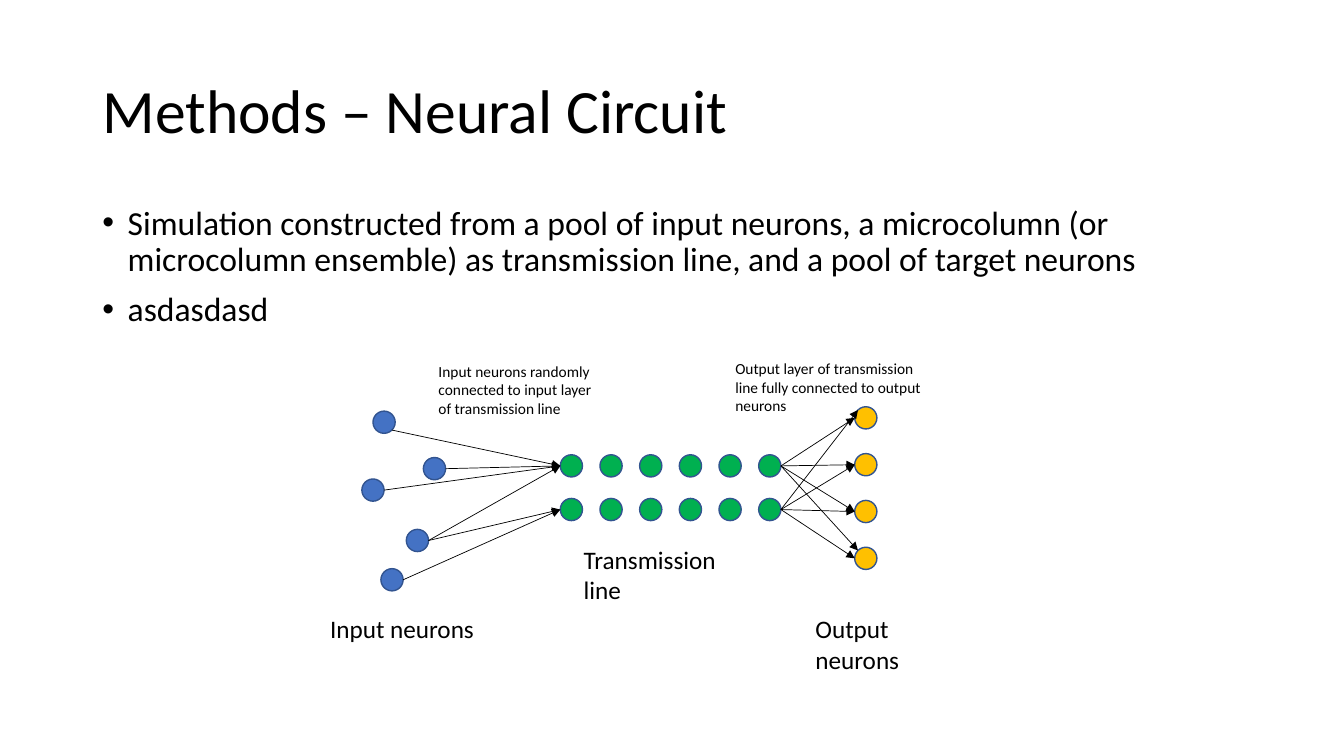
from dataclasses import dataclass
from math import cos, radians, sin

from lxml.etree import SubElement
from pptx import Presentation
from pptx.dml.color import RGBColor
from pptx.enum.shapes import MSO_CONNECTOR, MSO_SHAPE
from pptx.enum.text import MSO_ANCHOR, MSO_AUTO_SIZE, PP_ALIGN
from pptx.oxml.ns import qn
from pptx.util import Cm, Pt

HEADING = "Methods – Neural Circuit"
POINTS = [
    "Simulation constructed from a pool of input neurons, a microcolumn "
    "(or microcolumn ensemble) as transmission line, and a pool of target neurons",
    "asdasdasd",
]

# Top left corners of the input neurons, in cm
INPUTS = [(9.4, 10.36), (9.12, 12.07), (10.67, 11.53), (10.24, 13.34), (9.6, 14.33)]
MICROCOLUMN = {"left": 14.12, "top": 11.46, "columns": 6, "rows": 2, "dx": 1.0, "dy": 1.1}
OUTPUTS = {"left": 21.54, "top": 10.25, "columns": 1, "rows": 4, "dx": 0, "dy": 1.18}
DIAMETER = 0.56

# Angles of the connection points on a neuron, clockwise from the right
RIGHT, LOWER_RIGHT, LEFT, UPPER_LEFT = 0, 45, 180, 225

# (input, leaving angle, row of the transmission line)
INPUT_LINKS = [
    (2, RIGHT, 0),
    (3, RIGHT, 0),
    (3, RIGHT, 1),
    (0, LOWER_RIGHT, 0),
    (1, RIGHT, 0),
    (4, RIGHT, 1),
]
# (row, output) pairs whose arrow ends at the upper left of the neuron
UPPER_LEFT_LINKS = {(1, 0), (0, 3)}

# (text, left, top, width, height, wraps)
LABELS = [
    ("Input neurons", 8.07, 15.34, 4.14, 1.02, False),
    ("Transmission line", 14.46, 13.59, 4.6, 1.8, True),
    ("Output neurons", 20.3, 15.34, 4.6, 1.02, False),
]
NOTES = [
    ("Input neurons randomly connected to input layer of transmission line",
     10.8, 8.99, 4.54, 1.66, True),
    ("Output layer of transmission line fully connected to output neurons",
     18.28, 8.93, 5.33, 1.66, True),
]


@dataclass(frozen=True)
class Theme:
    font: str = "Calibri"
    ink: RGBColor = RGBColor(0, 0, 0)
    outline: RGBColor = RGBColor(0x32, 0x54, 0x90)
    input: RGBColor = RGBColor(0x44, 0x72, 0xC4)
    microcolumn: RGBColor = RGBColor(0x00, 0xB0, 0x50)
    output: RGBColor = RGBColor(0xFF, 0xC0, 0x00)
    heading: Pt = Pt(44)
    point: Pt = Pt(24)
    label: Pt = Pt(18)
    note: Pt = Pt(11)


THEME = Theme()


def format_runs(frame, size):
    for paragraph in frame.paragraphs:
        for run in paragraph.runs:
            run.font.name = THEME.font
            run.font.size = size
            run.font.color.rgb = THEME.ink


def add_heading(slide):
    title = slide.shapes.title
    title.left, title.top, title.width, title.height = Cm(2.33), Cm(1.01), Cm(19.48), Cm(3.68)
    frame = title.text_frame
    frame.text = HEADING
    frame.vertical_anchor = MSO_ANCHOR.MIDDLE
    frame.paragraphs[0].alignment = PP_ALIGN.LEFT
    frame.paragraphs[0].line_spacing = 0.9
    format_runs(frame, THEME.heading)


def add_points(slide):
    frame = slide.shapes.add_textbox(Cm(2.33), Cm(5.07), Cm(29.21), Cm(3.73)).text_frame
    frame.word_wrap = True
    frame.text = "\n".join(POINTS)
    for paragraph in frame.paragraphs:
        paragraph.line_spacing = 0.9
        paragraph.space_before = Pt(10)
        properties = paragraph._p.get_or_add_pPr()
        properties.set("marL", str(Cm(0.64)))
        properties.set("indent", str(-Cm(0.64)))
        SubElement(properties, qn("a:buFont"), typeface="Arial")
        SubElement(properties, qn("a:buChar"), char="•")
    format_runs(frame, THEME.point)


def add_caption(slide, caption, size):
    text, left, top, width, height, wraps = caption
    frame = slide.shapes.add_textbox(Cm(left), Cm(top), Cm(width), Cm(height)).text_frame
    frame.text = text
    frame.word_wrap = wraps
    frame.auto_size = MSO_AUTO_SIZE.SHAPE_TO_FIT_TEXT
    format_runs(frame, size)


def grid_corners(left, top, columns, rows, dx, dy):
    """List the corners column by column."""
    return [(left + c * dx, top + r * dy) for c in range(columns) for r in range(rows)]


def add_neurons(shapes, corners, color):
    for left, top in corners:
        neuron = shapes.add_shape(
            MSO_SHAPE.OVAL, Cm(left), Cm(top), Cm(DIAMETER), Cm(DIAMETER))
        neuron.shadow.inherit = False
        neuron.fill.solid()
        neuron.fill.fore_color.rgb = color
        neuron.line.color.rgb = THEME.outline
        neuron.line.width = Pt(1)


def rim_point(corner, angle):
    radius = DIAMETER / 2
    return (Cm(corner[0] + radius + radius * cos(radians(angle))),
            Cm(corner[1] + radius + radius * sin(radians(angle))))


def add_link(slide, source, leaving, target, arriving):
    link = slide.shapes.add_connector(
        MSO_CONNECTOR.STRAIGHT, *rim_point(source, leaving), *rim_point(target, arriving))
    link.line.color.rgb = THEME.ink
    link.line.width = Pt(0.5)
    SubElement(link.line._get_or_add_ln(), qn("a:tailEnd"), type="triangle")
    SubElement(link._element.spPr, qn("a:effectLst"))


def add_circuit(slide):
    rows = MICROCOLUMN["rows"]
    microcolumn = grid_corners(**MICROCOLUMN)
    outputs = grid_corners(**OUTPUTS)
    add_neurons(slide.shapes, INPUTS, THEME.input)
    add_neurons(slide.shapes.add_group_shape().shapes, microcolumn, THEME.microcolumn)
    add_neurons(slide.shapes.add_group_shape().shapes, outputs, THEME.output)

    for source, leaving, row in INPUT_LINKS:
        add_link(slide, INPUTS[source], leaving, microcolumn[row], LEFT)
    for row, last in enumerate(microcolumn[-rows:]):
        for number, output in enumerate(outputs):
            arriving = UPPER_LEFT if (row, number) in UPPER_LEFT_LINKS else LEFT
            add_link(slide, last, RIGHT, output, arriving)


def main():
    deck = Presentation()
    deck.slide_width, deck.slide_height = Cm(33.87), Cm(19.05)
    slide = deck.slides.add_slide(deck.slide_layouts[5])
    add_heading(slide)
    add_points(slide)
    add_circuit(slide)
    for captions, size in ((LABELS, THEME.label), (NOTES, THEME.note)):
        for caption in captions:
            add_caption(slide, caption, size)
    deck.save("out.pptx")


if __name__ == "__main__":
    main()
